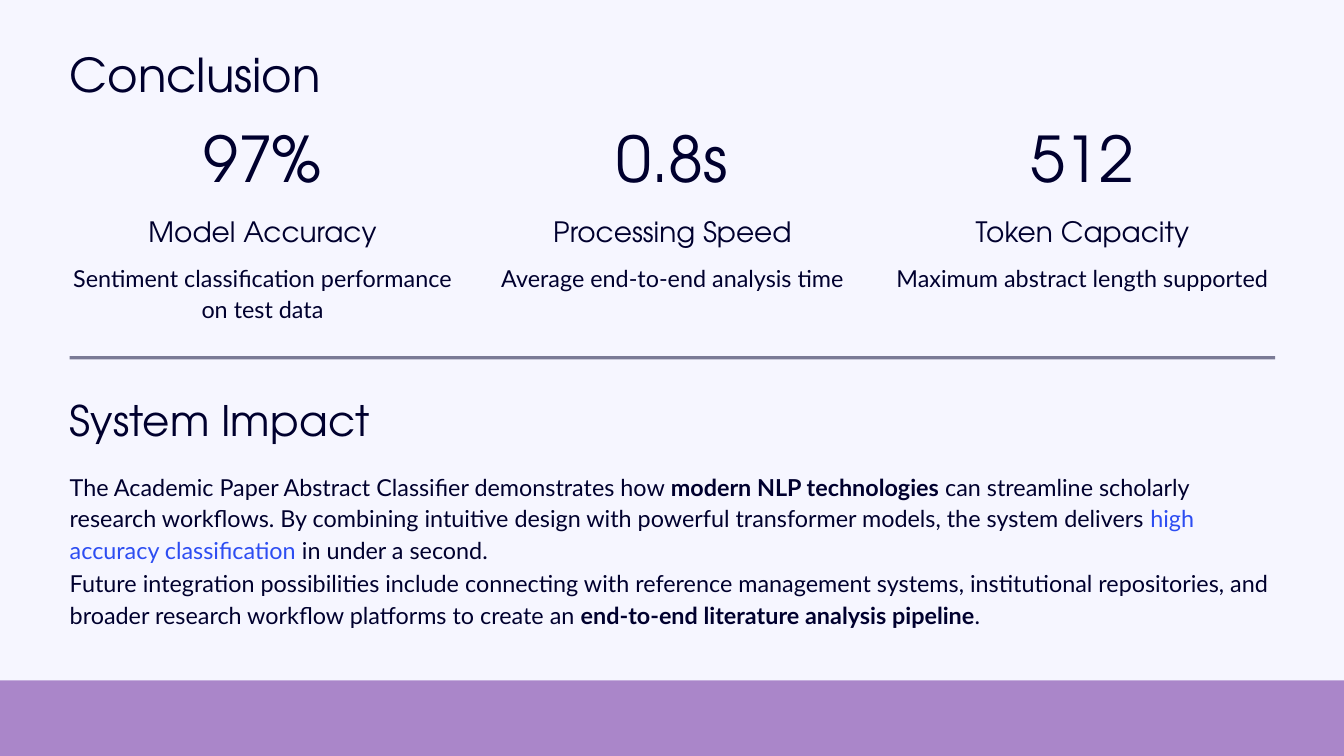
from lxml import etree
from pptx import Presentation
from pptx.dml.color import RGBColor
from pptx.enum import shapes, text
from pptx.oxml import ns
from pptx.util import Inches, Pt

COLORS = {"page": "F6F6FF", "ink": "00002E", "accent": "2D4DF2", "footer": "7030A0"}
HEADING, BODY = "TeX Gyre Adventor", "Lato"
LEFT, WIDTH = 0.83, 14.35

deck = Presentation()
deck.slide_width, deck.slide_height = Inches(16), Inches(9)
page = deck.slides.add_slide(deck.slide_layouts[6])
page.background.fill.solid()
page.background.fill.fore_color.rgb = RGBColor.from_string(COLORS["page"])


def add_text(left, top, width, height, spans, font, size, spacing, centered=False):
    box = page.shapes.add_textbox(Inches(left), Inches(top), Inches(width), Inches(height))
    frame = box.text_frame
    frame.word_wrap = True
    frame.margin_left = frame.margin_right = frame.margin_top = frame.margin_bottom = 0
    para = frame.paragraphs[0]
    para.alignment = text.PP_ALIGN.CENTER if centered else text.PP_ALIGN.LEFT
    para.line_spacing = Pt(spacing)
    para.font.name, para.font.size = font, Pt(size)
    para.font.color.rgb = RGBColor.from_string(COLORS["ink"])
    for words, style in spans:
        span = para.add_run()
        span.text = words
        if style == "bold":
            span.font.bold = True
        elif style == "accent":
            span.font.color.rgb = RGBColor.from_string(COLORS["accent"])


def add_bar(left, top, width, height, color, opacity):
    bar = page.shapes.add_shape(
        shapes.MSO_SHAPE.RECTANGLE, Inches(left), Inches(top), Inches(width), Inches(height)
    )
    bar.shadow.inherit = False
    bar.line.fill.background()
    bar.fill.solid()
    bar.fill.fore_color.rgb = RGBColor.from_string(COLORS[color])
    tint = bar.fill._xPr.find(ns.qn("a:solidFill"))[0]
    etree.SubElement(tint, ns.qn("a:alpha"), val=str(opacity * 1000))


add_text(LEFT, 0.52, 5.55, 0.69, [("Conclusion", "")], HEADING, 40, 49.5)

metrics = [
    ("97%", "Model Accuracy", "Sentiment classification performance on test data"),
    ("0.8s", "Processing Speed", "Average end-to-end analysis time"),
    ("512", "Token Capacity", "Maximum abstract length supported"),
]
column_width, column_step = 4.59, 4.88
for index, (value, label, detail) in enumerate(metrics):
    left = LEFT + index * column_step
    add_text(left, 1.54, column_width, 0.78, [(value, "")], HEADING, 54, 56, True)
    add_text(left, 2.61, column_width, 0.35, [(label, "")], HEADING, 24, 24.5, True)
    add_text(left, 3.1, column_width, 0.75, [(detail, "")], BODY, 20, 27, True)

add_bar(LEFT, 4.24, WIDTH, 0.04, "ink", 50)
add_text(LEFT, 4.75, 4.44, 0.56, [("System Impact", "")], HEADING, 36, 39.5)

impact = [
    (5.59, [
        ("The Academic Paper Abstract Classifier demonstrates how ", ""),
        ("modern NLP technologies", "bold"),
        (" can streamline scholarly research workflows. By combining intuitive design "
         "with powerful transformer models, the system delivers ", ""),
        ("high accuracy classification", "accent"),
        (" in under a second.", ""),
    ]),
    (6.74, [
        ("Future integration possibilities include connecting with reference management "
         "systems, institutional repositories, and broader research workflow platforms "
         "to create an ", ""),
        ("end-to-end literature analysis pipeline", "bold"),
        (".", ""),
    ]),
]
for top, spans in impact:
    add_text(LEFT, top, WIDTH, 0.75, spans, BODY, 20, 27)

add_bar(0, 8.1, 16, 0.9, "footer", 56)

deck.save("out.pptx")
